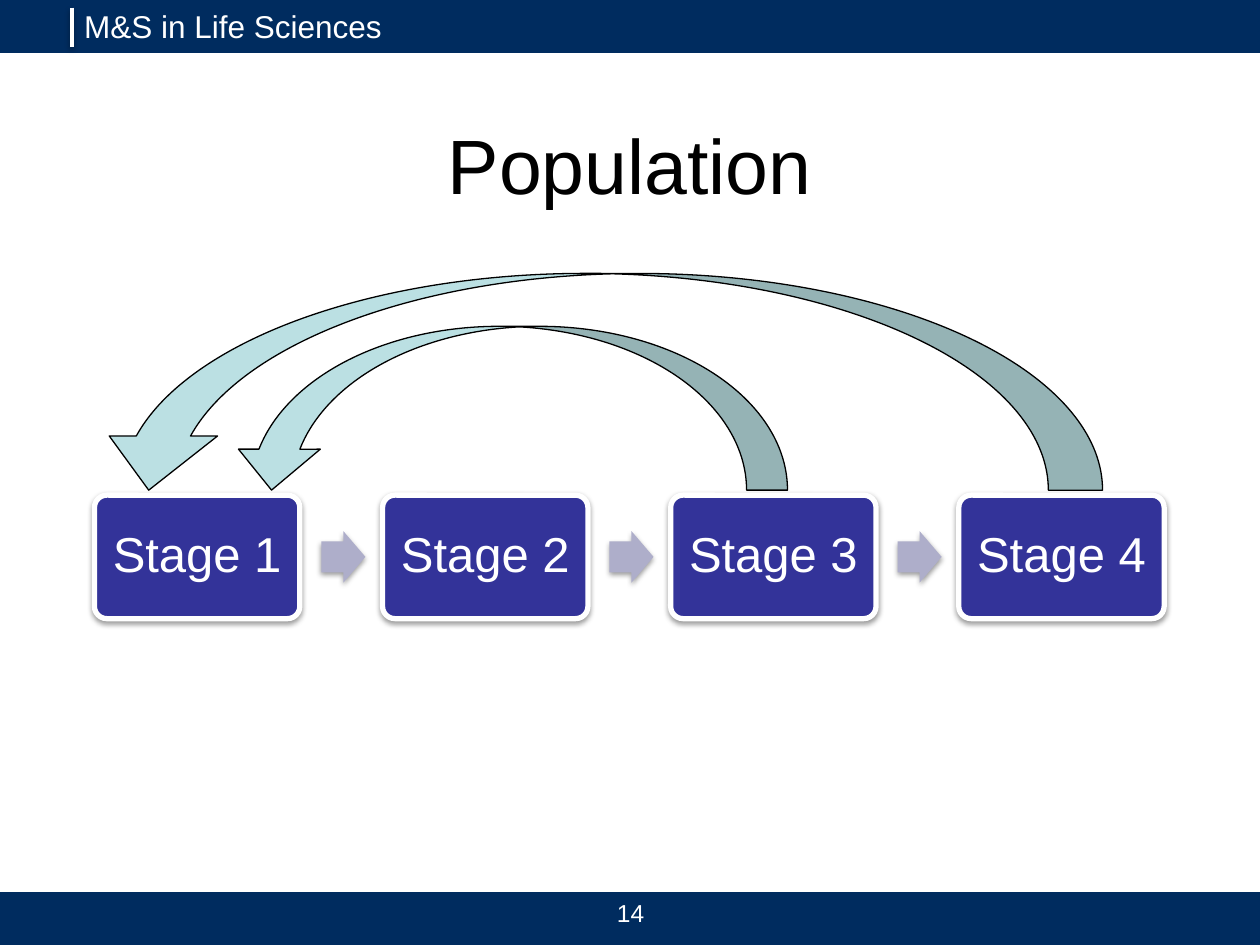
from dataclasses import dataclass

from lxml.etree import SubElement
from pptx import Presentation
from pptx.dml.color import RGBColor
from pptx.enum.shapes import MSO_CONNECTOR, MSO_SHAPE
from pptx.enum.text import MSO_ANCHOR, PP_ALIGN
from pptx.oxml.ns import qn
from pptx.util import Inches, Pt

WIDTH, HEIGHT = 10, 7.5
BAR_HEIGHT = 0.42
STAGE_LEFT, STAGE_TOP, STAGE_PITCH = 0.75, 3.93, 6.86 / 3
STAGE_WIDTH, STAGE_HEIGHT = 1.63, 0.98
STEP_OFFSET, STEP_WIDTH, STEP_HEIGHT = 1.8, 0.35, 0.41
RETURN_BOTTOM = 3.89
NAVY, INDIGO, LAVENDER, TEAL = "002C5F", "333399", "AEAECA", "BBE0E3"
WHITE, BLACK = "FFFFFF", "000000"


@dataclass(frozen=True)
class Area:
    left: float
    top: float
    width: float
    height: float

    def lengths(self) -> tuple:
        return tuple(Inches(n) for n in (self.left, self.top, self.width, self.height))


@dataclass(frozen=True)
class Label:
    text: str
    area: Area
    size: int
    color: str
    align: PP_ALIGN = PP_ALIGN.CENTER
    anchor: MSO_ANCHOR = MSO_ANCHOR.TOP


@dataclass(frozen=True)
class ReturnArrow:
    left: float
    span: float
    rise: float


def rgb(color: str) -> RGBColor:
    return RGBColor.from_string(color)


def write(frame, text: str, size: int, color: str, align: PP_ALIGN, anchor: MSO_ANCHOR) -> None:
    frame.word_wrap = True
    frame.vertical_anchor = anchor
    paragraph = frame.paragraphs[0]
    paragraph.text = text
    paragraph.alignment = align
    paragraph.font.name = "Arial"
    paragraph.font.size = Pt(size)
    paragraph.font.color.rgb = rgb(color)


def add_label(page, label: Label) -> None:
    box = page.shapes.add_textbox(*label.area.lengths())
    write(box.text_frame, label.text, label.size, label.color, label.align, label.anchor)


def add_figure(page, kind: MSO_SHAPE, area: Area, fill: str, line: str = "", weight: float = 0):
    figure = page.shapes.add_shape(kind, *area.lengths())
    figure.shadow.inherit = False
    figure.fill.solid()
    figure.fill.fore_color.rgb = rgb(fill)
    if line:
        figure.line.color.rgb = rgb(line)
        figure.line.width = Pt(weight)
    else:
        figure.line.fill.background()
    return figure


def add_shadow(figure) -> None:
    properties = figure._element.spPr
    effects = properties.find(qn("a:effectLst"))
    if effects is None:
        effects = SubElement(properties, qn("a:effectLst"))
    shadow = SubElement(effects, qn("a:outerShdw"), blurRad=str(Pt(3.1)),
                        dist=str(Pt(1.6)), dir="5400000", rotWithShape="0")
    color = SubElement(shadow, qn("a:srgbClr"), val=BLACK)
    SubElement(color, qn("a:alpha"), val="38000")


def add_stage(page, column: int) -> None:
    left = STAGE_LEFT + column * STAGE_PITCH
    area = Area(left, STAGE_TOP, STAGE_WIDTH, STAGE_HEIGHT)
    stage = add_figure(page, MSO_SHAPE.ROUNDED_RECTANGLE, area, INDIGO, WHITE, 3)
    stage.adjustments[0] = 0.1
    add_shadow(stage)
    frame = stage.text_frame
    frame.margin_left = frame.margin_right = Inches(0.09)
    write(frame, f"Stage {column + 1}", 28, WHITE, PP_ALIGN.CENTER, MSO_ANCHOR.MIDDLE)
    frame.paragraphs[0].line_spacing = 0.9


def add_step(page, column: int) -> None:
    left = STAGE_LEFT + column * STAGE_PITCH + STEP_OFFSET
    top = STAGE_TOP + (STAGE_HEIGHT - STEP_HEIGHT) / 2
    area = Area(left, top, STEP_WIDTH, STEP_HEIGHT)
    step = add_figure(page, MSO_SHAPE.RIGHT_ARROW, area, LAVENDER)
    step.adjustments[0] = 0.6
    step.adjustments[1] = 0.5
    add_shadow(step)


def add_return(page, arrow: ReturnArrow) -> None:
    center_x = arrow.left + arrow.span / 2
    center_y = RETURN_BOTTOM - arrow.rise / 2
    area = Area(center_x - arrow.rise / 2, center_y - arrow.span / 2, arrow.rise, arrow.span)
    figure = add_figure(page, MSO_SHAPE.CURVED_RIGHT_ARROW, area, TEAL, BLACK, 0.75)
    figure.rotation = 90


def add_header_rule(page) -> None:
    ends = (Inches(n) for n in (0.57, 0.06, 0.57, 0.37))
    rule = page.shapes.add_connector(MSO_CONNECTOR.STRAIGHT, *ends)
    rule.line.color.rgb = rgb(WHITE)
    rule.line.width = Pt(2)
    add_shadow(rule)


def main() -> None:
    deck = Presentation()
    deck.slide_width, deck.slide_height = Inches(WIDTH), Inches(HEIGHT)
    page = deck.slides.add_slide(deck.slide_layouts[6])

    for top in (0, HEIGHT - BAR_HEIGHT):
        add_figure(page, MSO_SHAPE.RECTANGLE, Area(0, top, WIDTH, BAR_HEIGHT), NAVY)
    add_header_rule(page)

    labels = (
        Label("M&S in Life Sciences", Area(0.57, 0.01, 3.35, 0.4), 18, WHITE, PP_ALIGN.LEFT),
        Label("Population", Area(0.75, 0.67, 8.5, 1.25), 44, BLACK, anchor=MSO_ANCHOR.MIDDLE),
        Label("14", Area(4.42, 7.08, 1.17, 0.33), 14, WHITE),
    )
    for label in labels:
        add_label(page, label)

    for column in range(4):
        add_stage(page, column)
    for column in range(3):
        add_step(page, column)

    for arrow in (ReturnArrow(0.75, 8, 1.72), ReturnArrow(1.83, 4.42, 1.3)):
        add_return(page, arrow)

    deck.save("out.pptx")


if __name__ == "__main__":
    main()
